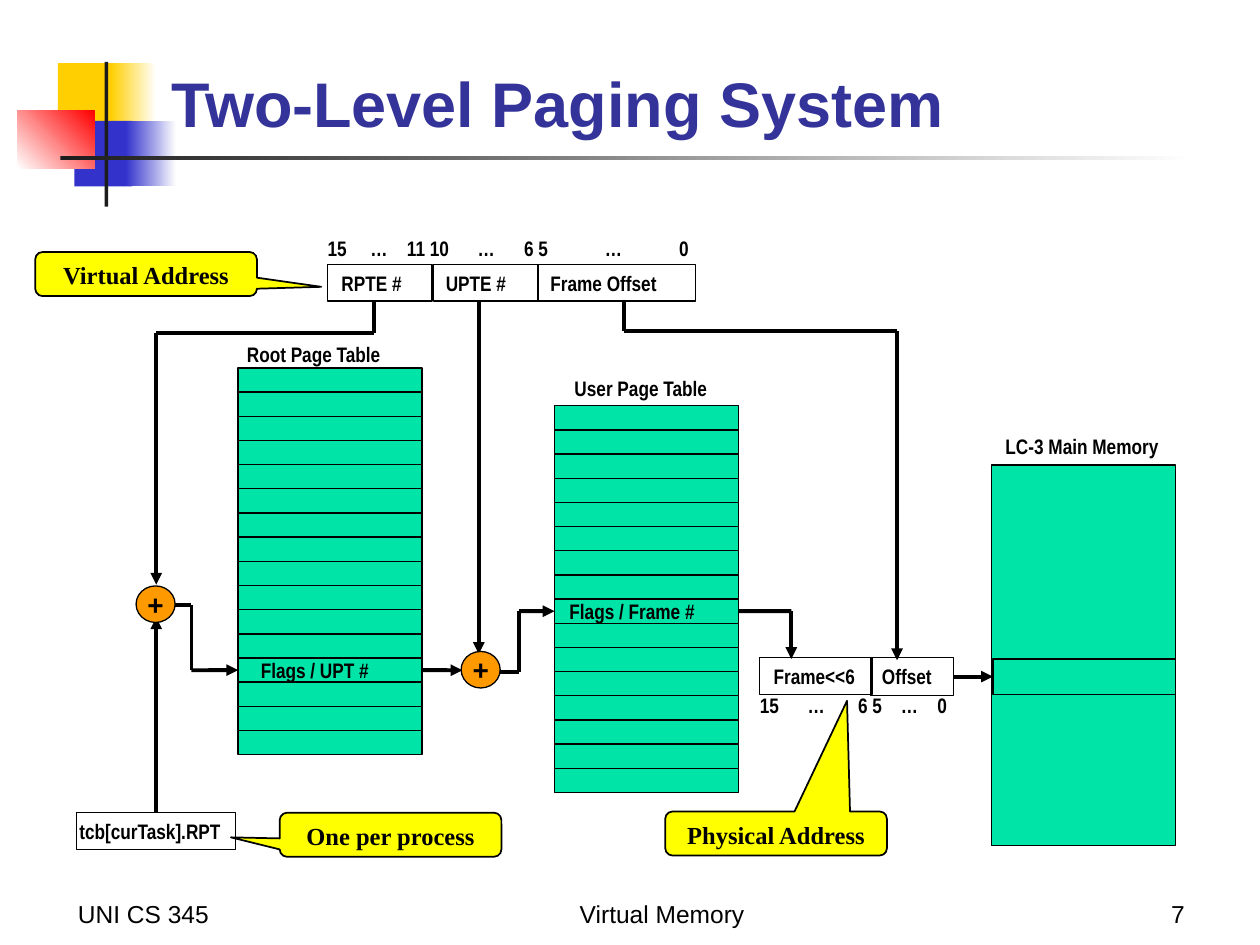
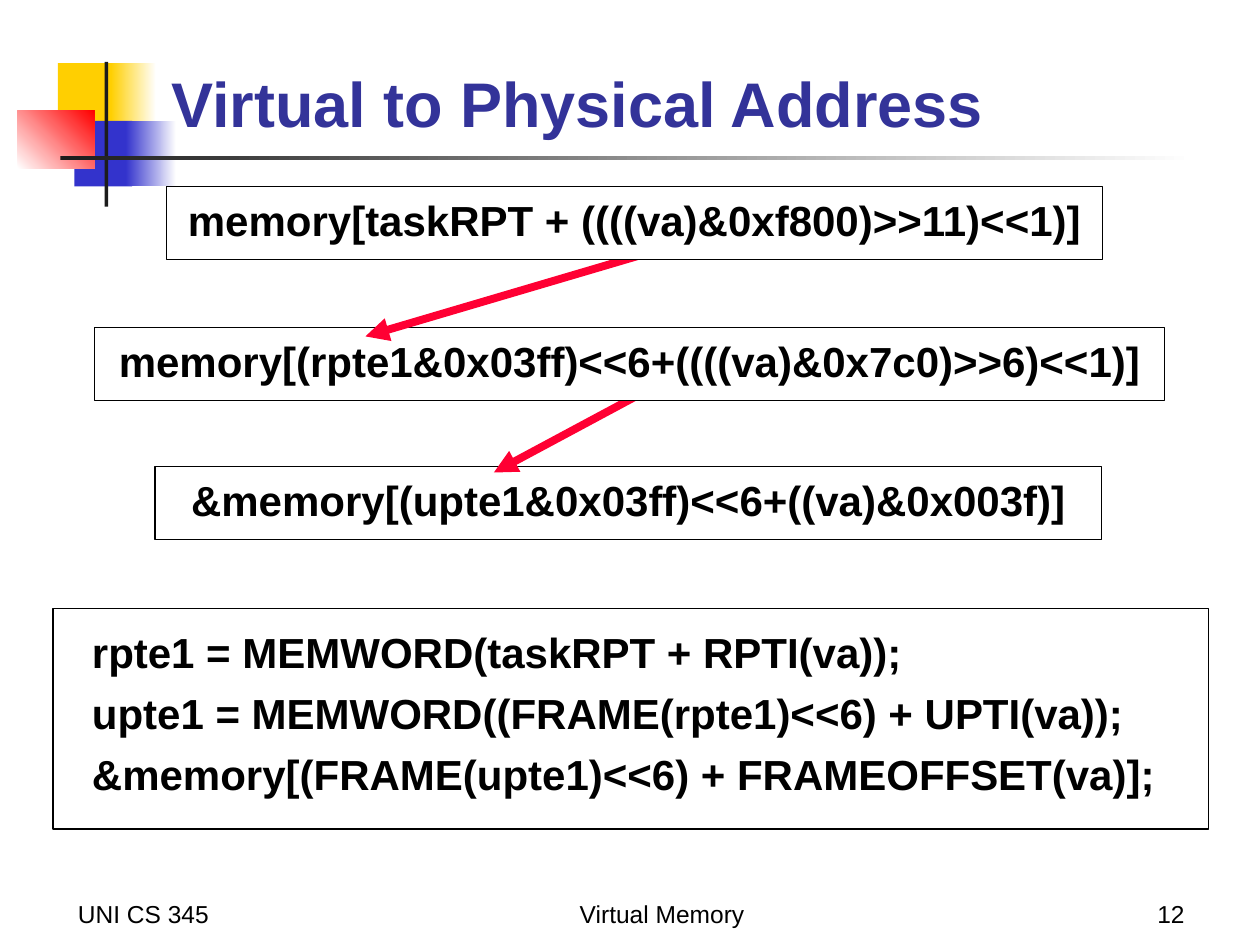
from itertools import pairwise

from lxml import etree
from pptx import Presentation
from pptx import util as u
from pptx.dml.color import RGBColor
from pptx.enum import shapes, text
from pptx.oxml.ns import qn

COLORS = {
    "title": "333399", "black": "000000", "white": "FFFFFF", "rule": "1C1C1C",
    "gold": "FFCF01", "blue": "3333CC", "red": "FF0000", "arrow": "FF0033",
    "memory": "00E4A8", "adder": "FF9900", "callout": "FFFF00",
}
MSO = shapes.MSO_SHAPE
LEFT, CENTER, RIGHT = (text.PP_ALIGN.LEFT, text.PP_ALIGN.CENTER, text.PP_ALIGN.RIGHT)
TOP, MIDDLE, BOTTOM = (text.MSO_ANCHOR.TOP, text.MSO_ANCHOR.MIDDLE, text.MSO_ANCHOR.BOTTOM)


def rgb(name):
    return RGBColor.from_string(COLORS[name])


def put(s, at, words="", kind=MSO.RECTANGLE, fill=None, line=0.75, inset=(0, 0, 0, 0),
        anchor=MIDDLE, para=None, font=None):
    """Add a shape with text; kind None gives a plain text box."""
    at = [u.Inches(v) for v in at]
    if kind is None:
        sp = s.shapes.add_textbox(*at)
    else:
        sp = s.shapes.add_shape(kind, *at)
        sp.shadow.inherit = False
        if isinstance(fill, tuple):
            start, end, angle = fill
            sp.fill.gradient()
            sp.fill.gradient_angle = angle
            for stop, name in zip(sp.fill.gradient_stops, (start, end)):
                stop.color.rgb = rgb(name)
        elif fill:
            sp.fill.solid()
            sp.fill.fore_color.rgb = rgb(fill)
        else:
            sp.fill.background()
        if line:
            sp.line.color.rgb = rgb("black")
            sp.line.width = u.Pt(line)
        else:
            sp.line.fill.background()
    tf = sp.text_frame
    tf.word_wrap, tf.vertical_anchor = True, anchor
    for side, v in zip(("left", "top", "right", "bottom"), inset):
        setattr(tf, f"margin_{side}", u.Inches(v))
    if words:
        tf.text = words
    for p in tf.paragraphs:
        for key, v in ({"alignment": LEFT} | (para or {})).items():
            setattr(p, key, v)
        p.font.color.rgb = rgb("black")
        for r in p.runs:
            r.font.color.rgb = rgb("black")
            for key, v in (NARROW | (font or {})).items():
                setattr(r.font, key, v)
    return sp


def draw_path(s, points, color="black", width=2.25, arrow=True, start=None, end=None):
    """Join points by straight connectors; start and end are (shape, site) pairs."""
    legs = list(pairwise(points))
    for i, leg in enumerate(legs):
        c = s.shapes.add_connector(shapes.MSO_CONNECTOR.STRAIGHT,
                                   *[u.Inches(v) for point in leg for v in point])
        c.line.color.rgb = rgb(color)
        c.line.width = u.Pt(width)
        if start and i == 0:
            c.begin_connect(*start)
        if i == len(legs) - 1:
            if end:
                c.end_connect(*end)
            if arrow:
                ln = c._element.spPr.find(qn("a:ln"))
                etree.SubElement(ln, qn("a:tailEnd"), type="triangle")
        etree.SubElement(c._element.spPr, qn("a:effectLst"))


NARROW = {"name": "Arial Narrow", "size": u.Pt(12), "bold": True}
FOOTER = {"name": "Arial", "size": u.Pt(14), "bold": False}
CALLOUT = {"name": "Times New Roman", "size": u.Pt(14)}
PLUS = {"name": "Arial", "size": u.Pt(16)}
CODE = {"name": "Arial", "size": u.Pt(24)}
PAD = (0.1, 0.05, 0.1, 0.05)

DECOR = [
    ((0.46, 0.5, 0.48, 0.52), "gold"),
    ((0.88, 0.5, 0.36, 0.52), ("gold", "white", 0)),
    ((0.59, 0.96, 0.46, 0.52), "blue"),
    ((1, 0.96, 0.4, 0.52), ("blue", "white", 0)),
    ((0.14, 0.88, 0.61, 0.46), ("white", "red", 45)),
    ((0.83, 0.49, 0.03, 1.15), "rule"),
    ((0.48, 1.24, 9, 0.03), ("rule", "white", 0)),
]

prs = Presentation()
prs.slide_width, prs.slide_height = u.Inches(10), u.Inches(7.5)

# Shared frame: decoration, title and footers
slides = []
for heading, number in [("Two-Level Paging System", "7"), ("Virtual to Physical Address", "12")]:
    s = prs.slides.add_slide(prs.slide_layouts[5])
    slides.append(s)
    for at, fill in DECOR:
        put(s, at, fill=fill, line=0)
    for x, w, words, align in [(0.52, 2.08, "UNI CS 345", LEFT),
                               (3.67, 3.17, "Virtual Memory", CENTER),
                               (7.42, 2.08, number, RIGHT)]:
        put(s, (x, 6.92, w, 0.5), words, None, inset=PAD, anchor=BOTTOM,
            para={"alignment": align}, font=FOOTER)
    title = s.shapes.title
    title.element.getparent().append(title.element)
    for key, v in zip(("left", "top", "width", "height"), (1.26, 0.21, 8.52, 0.95)):
        setattr(title, key, u.Inches(v))
    tf = title.text_frame
    tf.text, tf.vertical_anchor, tf.auto_size = heading, BOTTOM, text.MSO_AUTO_SIZE.NONE
    p = tf.paragraphs[0]
    p.alignment = LEFT
    for key, v in {"name": "Arial", "size": u.Pt(36), "bold": True}.items():
        setattr(p.runs[0].font, key, v)
    p.runs[0].font.color.rgb = rgb("title")

# Slide 1: page tables
s = slides[0]
ROWS, TABLE_H = 16, 3.07
entries = {}
for name, x, y, entry, words, indent in [
        ("root", 1.89, 2.92, 12, "Flags / UPT #", 0.18),
        ("user", 4.4, 3.22, 8, "Flags / Frame #", 0.12)]:
    for i in range(ROWS):
        row = put(s, (x, y + i * TABLE_H / ROWS, 1.46, TABLE_H / ROWS),
                  words if i == entry else "", fill="memory", inset=(indent, 0, 0, 0))
        if i == entry:
            entries[name] = row

put(s, (7.87, 3.69, 1.46, 3.02), fill="memory")
memory_cell = put(s, (7.88, 5.23, 1.45, 0.28), fill="memory")

# Address fields
fields = {}
for at, words, indent in [
        ((2.6, 2.1, 0.83, 0.29), "RPTE #", 0.11),
        ((3.44, 2.1, 0.83, 0.29), "UPTE #", 0.1),
        ((4.27, 2.1, 1.25, 0.29), "Frame Offset", 0.1),
        ((6.03, 5.22, 0.89, 0.29), "Frame<<6", 0.11),
        ((6.91, 5.22, 0.66, 0.3), "Offset", 0.09),
        ((0.61, 6.45, 1.26, 0.29), "tcb[curTask].RPT", 0.02)]:
    fields[words] = put(s, at, words, inset=(indent, 0, 0, 0))

for x, y, w, words in [(1.96, 2.71, 1.36, "Root Page Table"),
                       (4.56, 2.98, 1.36, "User Page Table"),
                       (7.98, 3.44, 1.35, "LC-3 Main Memory")]:
    put(s, (x, y, w, 0.2), words, None, anchor=TOP)

# Bit numbers, spread by tab stops
for x, y, w, words, stops in [
        (2.6, 1.87, 3.02, "15\t…\t11 10\t…\t6 5\t…\t0", (0.34, 0.63, 1.19, 1.56, 2.2, 2.79)),
        (6.03, 5.5, 1.58, "15\t…\t6 5\t…\t0", (0.38, 0.78, 1.12, 1.41))]:
    bits = put(s, (x, y, w, 0.2), words, None, anchor=TOP)
    pPr = bits.text_frame.paragraphs[0]._p.get_or_add_pPr()
    tabs = etree.Element(qn("a:tabLst"))
    for stop in stops:
        etree.SubElement(tabs, qn("a:tab"), pos=str(u.Inches(stop)), algn="l")
    pPr.insert(0, tabs)

# Address flow
root, user = entries["root"], entries["user"]
for points, start, end in [
        ([(2.97, 2.38), (2.97, 2.64), (1.24, 2.64), (1.24, 4.64)], None, None),
        ([(3.8, 2.38), (3.8, 5.19)], None, None),
        ([(4.95, 2.38), (4.95, 2.63), (7.12, 2.63), (7.12, 5.24)], None, None),
        ([(1.24, 6.45), (1.24, 4.9)], (fields["tcb[curTask].RPT"], 0), None),
        ([(1.34, 4.8), (1.52, 4.8), (1.52, 5.32), (1.89, 5.32)], None, (root, 1)),
        ([(3.35, 5.32), (3.67, 5.32)], (root, 3), None),
        ([(3.97, 5.33), (4.12, 5.33), (4.12, 4.85), (4.4, 4.85)], None, (user, 1)),
        ([(5.86, 4.85), (6.28, 4.85), (6.28, 5.23)], (user, 3), None),
        ([(7.57, 5.37), (7.88, 5.37)], (fields["Offset"], 3), (memory_cell, 1))]:
    draw_path(s, points, start=start, end=end)

for x, y in [(1.08, 4.65), (3.66, 5.17)]:
    put(s, (x, y, 0.31, 0.29), "+", MSO.OVAL, "adder", para={"alignment": CENTER}, font=PLUS)

for x, y, words, tip in [(0.28, 2, "Virtual Address", (0.79, 0.29)),
                         (5.28, 6.44, "Physical Address", (0.32, -3.01)),
                         (2.22, 6.45, "One per process", (-0.72, 0.06))]:
    sp = put(s, (x, y, 1.76, 0.35), words, MSO.ROUNDED_RECTANGULAR_CALLOUT, "callout", 1,
             PAD, TOP, {"alignment": CENTER}, CALLOUT)
    for i, v in enumerate(tip):
        sp.adjustments[i] = v

# Slide 2: each upper box covers the tail of the arrow below it
s = slides[1]
for at, words, arrow in [
        ((1.23, 3.7, 7.51, 0.58), "&memory[(upte1&0x03ff)<<6+((va)&0x003f)]",
         [(5.17, 3.08), (3.92, 3.75)]),
        ((0.75, 2.6, 8.49, 0.58), "memory[(rpte1&0x03ff)<<6+((((va)&0x7c0)>>6)<<1)]",
         [(5.17, 2), (2.9, 2.67)]),
        ((1.32, 1.48, 7.43, 0.58), "memory[taskRPT + ((((va)&0xf800)>>11)<<1)]", None)]:
    put(s, at, words, fill="white", para={"alignment": CENTER, "line_spacing": 0.9}, font=CODE)
    if arrow:
        draw_path(s, arrow, "arrow", 4.5)

put(s, (0.42, 4.83, 9.17, 1.75),
    "rpte1 = MEMWORD(taskRPT + RPTI(va));\n"
    "upte1 = MEMWORD((FRAME(rpte1)<<6) + UPTI(va));\n"
    "&memory[(FRAME(upte1)<<6) + FRAMEOFFSET(va)];",
    fill="white", inset=(0.31, 0.14, 0.1, 0.05), anchor=TOP,
    para={"space_before": u.Pt(6)}, font=CODE)

prs.save("out.pptx")
